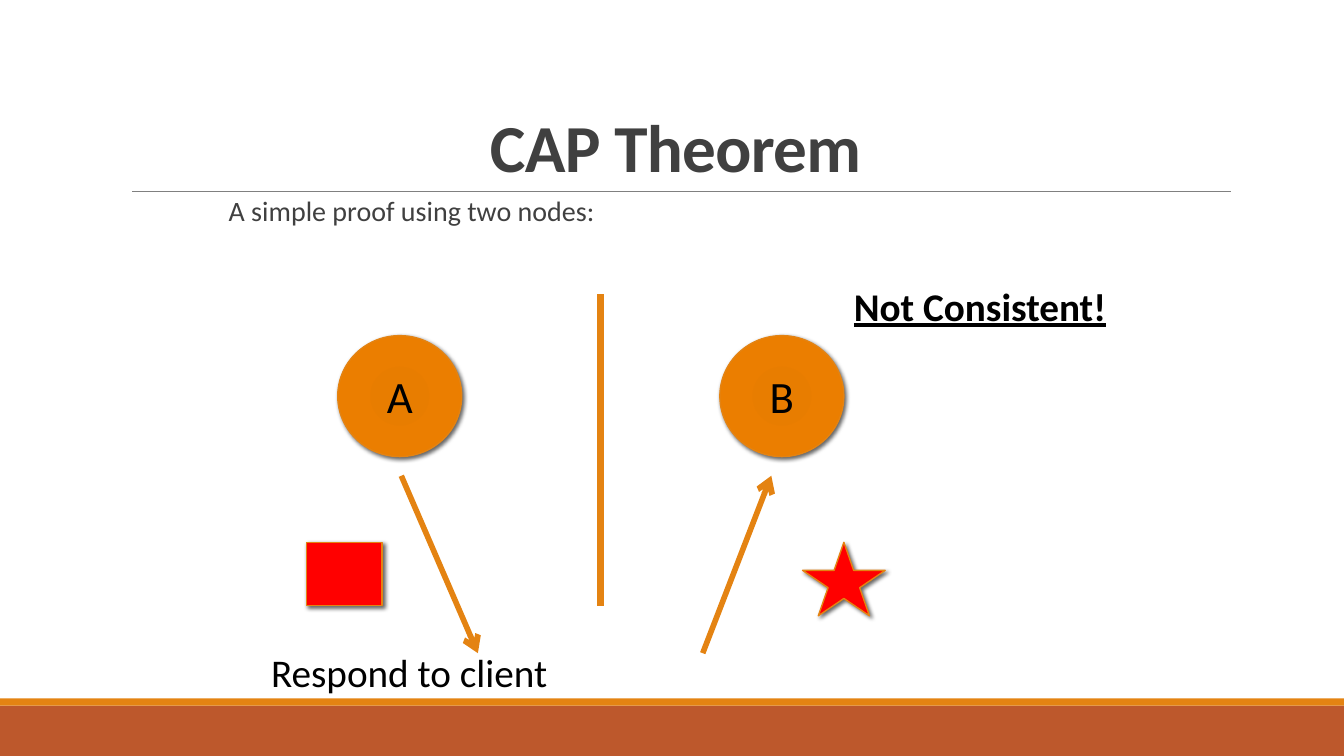
from pptx import Presentation
from pptx.dml.color import RGBColor
from pptx.enum.shapes import MSO_CONNECTOR, MSO_SHAPE
from pptx.enum.text import MSO_ANCHOR, PP_ALIGN
from pptx.oxml import parse_xml
from pptx.oxml.ns import nsdecls, qn
from pptx.util import Inches, Pt

RECT, OVAL, STAR = MSO_SHAPE.RECTANGLE, MSO_SHAPE.OVAL, MSO_SHAPE.STAR_5_POINT
STRAIGHT = MSO_CONNECTOR.STRAIGHT
LEFT, CENTER = PP_ALIGN.LEFT, PP_ALIGN.CENTER
TOP, MIDDLE, BOTTOM = MSO_ANCHOR.TOP, MSO_ANCHOR.MIDDLE, MSO_ANCHOR.BOTTOM

THEME = {
    "font": "Calibri",
    "orange": "E48312", "rust": "BD582C", "red": "FF0000",
    "rule": "808080", "dark": "404040", "black": "000000",
    "node": [(0, "E57B00"), (34, "E87D00"), (70, "EB7E00"), (100, "EF8407")],
    "title": 48, "body": 20, "letter": 32, "label": 28,
}

WIDE, HIGH = 13.33, 7.5
BANDS = [(7, 0.5, "rust"), (6.93, 0.07, "orange")]  # top, height, colour
NODES = [("A", 3.35), ("B", 7.14)]  # letter, left
NODE_TOP, NODE_W, NODE_H = 3.33, 1.23, 1.2
VALUES = [(STAR, (7.96, 5.38, 0.82, 0.73)), (RECT, (3.04, 5.38, 0.75, 0.63))]
# start, end, colour, width, arrowhead
LINES = [
    ((1.31, 1.9), (12.21, 1.9), "rule", 0.5, False),
    ((5.96, 2.92), (5.96, 6.01), "orange", 5, False),
    ((6.97, 6.48), (7.65, 4.72), "orange", 4, True),
    ((3.98, 4.72), (4.74, 6.48), "orange", 4, True),
]
# text, box, size, colour, align, anchor, line spacing, bold, underline
TEXTS = [
    ("CAP Theorem", (1.2, 0.31, 11, 1.59), "title", "dark",
     CENTER, BOTTOM, 0.85, True, False),
    ("A simple proof using two nodes:", (2.17, 1.91, 8.04, 0.91), "body", "dark",
     LEFT, TOP, 0.9, False, False),
    ("Not Consistent!", (8.37, 2.75, 3.06, 0.57), "label", "black",
     LEFT, TOP, 1.0, True, True),
    ("Respond to client", (2.59, 6.38, 3.98, 0.57), "label", "black",
     LEFT, TOP, 1.0, False, False),
]


def color(name):
    return RGBColor.from_string(THEME[name])


def write(frame, text, size, tint, align, anchor, space=1.0, bold=False, under=False):
    frame.text = text
    frame.word_wrap = True
    frame.vertical_anchor = anchor
    para = frame.paragraphs[0]
    para.alignment, para.line_spacing = align, space
    run = para.runs[0]
    font = run.font
    font.name, font.size = THEME["font"], Pt(THEME[size])
    font.bold, font.underline = bold, under
    font.color.rgb = color(tint)
    return run


def add_shape(slide, kind, box, fill, line=None):
    shape = slide.shapes.add_shape(kind, *map(Inches, box))
    shape.shadow.inherit = False
    shape.fill.solid()
    shape.fill.fore_color.rgb = color(fill)
    if line:
        shape.line.color.rgb = color(line)
        shape.line.width = Pt(1)
    else:
        shape.line.fill.background()
    return shape


def cast(shape):
    """Give the shape a soft shadow to the lower right."""
    shape._element.spPr.find(qn("a:effectLst")).append(parse_xml(
        f'<a:outerShdw {nsdecls("a")} blurRad="{Pt(3)}" dist="{Pt(2)}" '
        f'dir="{45 * 60000}" rotWithShape="0"><a:srgbClr val="{THEME["black"]}">'
        '<a:alpha val="60000"/></a:srgbClr></a:outerShdw>'))


def shade(shape):
    """Fill the shape with the circular node gradient."""
    stops = "".join(f'<a:gs pos="{pos * 1000}"><a:srgbClr val="{tint}"/></a:gs>'
                    for pos, tint in THEME["node"])
    props = shape._element.spPr
    props.replace(props.find(qn("a:solidFill")), parse_xml(
        f'<a:gradFill {nsdecls("a")} rotWithShape="1"><a:gsLst>{stops}</a:gsLst>'
        '<a:path path="circle"><a:fillToRect l="100000" t="100000" '
        'r="100000" b="100000"/></a:path></a:gradFill>'))


def add_line(slide, start, end, tint, width, arrow):
    line = slide.shapes.add_connector(STRAIGHT, *map(Inches, start + end))
    line.line.color.rgb = color(tint)
    line.line.width = Pt(width)
    if arrow:
        line.line._get_or_add_ln().append(
            parse_xml(f'<a:tailEnd {nsdecls("a")} type="arrow"/>'))
    line._element.spPr.append(parse_xml(f'<a:effectLst {nsdecls("a")}/>'))


def main():
    deck = Presentation()
    deck.slide_width, deck.slide_height = Inches(WIDE), Inches(HIGH)
    slide = deck.slides.add_slide(deck.slide_layouts[6])

    for top, high, fill in BANDS:
        add_shape(slide, RECT, (0, top, WIDE, high), fill)
    for letter, left in NODES:
        node = add_shape(slide, OVAL, (left, NODE_TOP, NODE_W, NODE_H),
                         "orange", "orange")
        shade(node)
        cast(node)
        write(node.text_frame, letter, "letter", "black", CENTER, MIDDLE)
    for line in LINES:
        add_line(slide, *line)
    for kind, box in VALUES:
        cast(add_shape(slide, kind, box, "red", "orange"))
    for text, box, size, *style in TEXTS:
        frame = slide.shapes.add_textbox(*map(Inches, box)).text_frame
        run = write(frame, text, size, *style)
        if size == "title":
            run.font._element.set("spc", "-50")

    deck.save("out.pptx")


if __name__ == "__main__":
    main()
